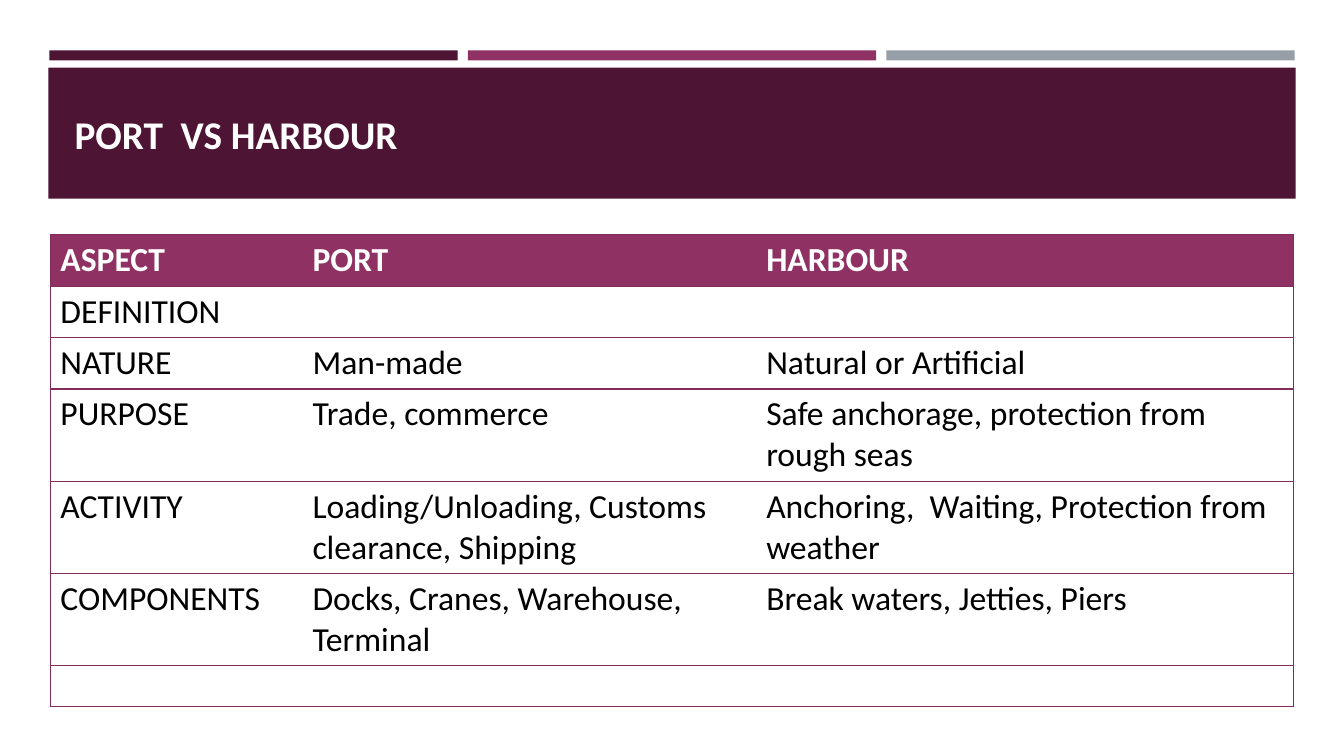
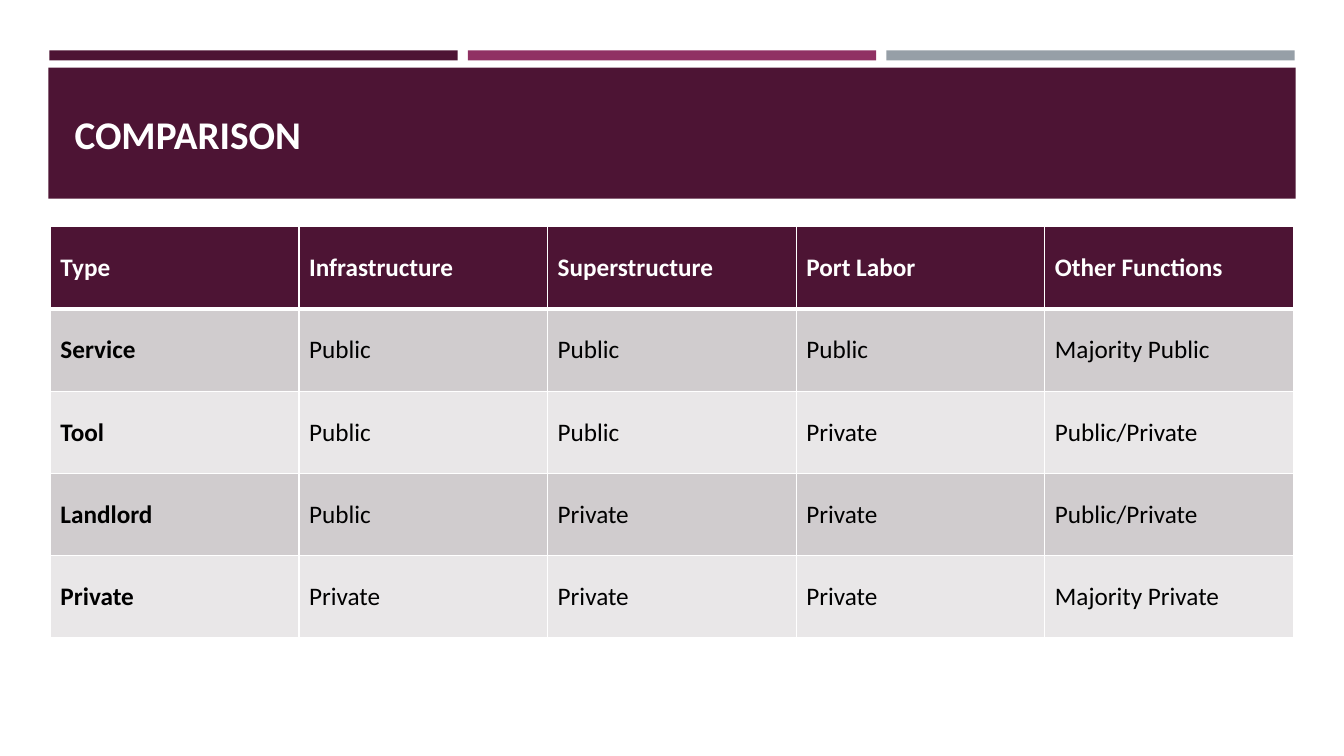
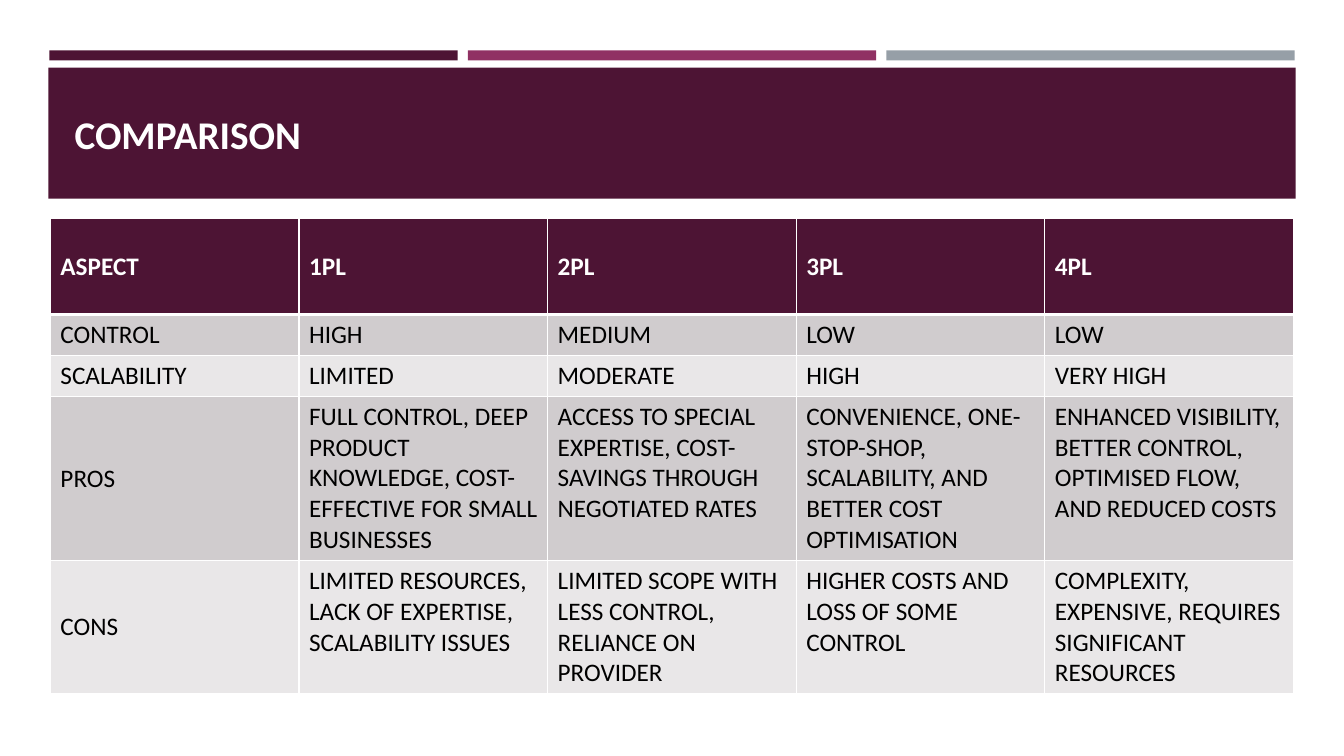
from lxml import etree
from pptx import Presentation
from pptx import util as u
from pptx.dml.color import RGBColor
from pptx.enum import shapes, text
from pptx.oxml.ns import qn


class Theme:
    font = "Calibri"
    title_size, large_size, table_size = 28, 24, 18
    plum, magenta, gray = "4D1434", "903163", "969FA7"
    rule, white, black = "822C59", "FFFFFF", "000000"
    stripes = ("D0CCCE", "E9E7E8")


def style_text(frame, size, color, bold):
    for para in frame.paragraphs:
        para.alignment = text.PP_ALIGN.LEFT
        for span in para.runs:
            span.font.name = Theme.font
            span.font.size = u.Pt(size)
            span.font.bold = bold
            span.font.color.rgb = RGBColor.from_string(color)


def set_borders(cell, color, widths):
    """Widths in points for left, right, top and bottom; 0 hides a side."""
    properties = cell._tc.get_or_add_tcPr()
    for side, width in zip("LRTB", widths):
        line = etree.SubElement(properties, qn(f"a:ln{side}"), w=str(u.Pt(width)))
        if width:
            fill = etree.SubElement(line, qn("a:solidFill"))
            etree.SubElement(fill, qn("a:srgbClr"), val=color)
        else:
            etree.SubElement(line, qn("a:noFill"))


# Grid, in inches
PAGE_WIDTH, PAGE_HEIGHT = 13.33, 7.5
MARGIN = 0.5
TABLE_WIDTH = PAGE_WIDTH - 2 * MARGIN
FIVE_COLUMNS = [TABLE_WIDTH / 5] * 5
STRIP_LEFT, STRIP_WIDTH, STRIP_GAP = 0.49, 4.05, 0.1

# Content: "ruled" tables have lines only, the others have striped rows
pages = [
    dict(
        title="PORT  VS HARBOUR", top=2.33, size=Theme.large_size, ruled=True,
        columns=[2.5, 4.5, 5.33],
        heights=[0.51] * 3 + [0.91] * 3 + [0.41],
        bold_labels=False, middle_labels=False, middle_values=False,
        rows=[
            ["ASPECT", "PORT", "HARBOUR"],
            ["DEFINITION", "", ""],
            ["NATURE", "Man-made", "Natural or Artificial"],
            ["PURPOSE", "Trade, commerce",
             "Safe anchorage, protection from rough seas"],
            ["ACTIVITY", "Loading/Unloading, Customs clearance, Shipping",
             "Anchoring,  Waiting, Protection from weather"],
            ["COMPONENTS", "Docks, Cranes, Warehouse, Terminal",
             "Break waters, Jetties, Piers"],
            ["", "", ""],
        ],
    ),
    dict(
        title="COMPARISON", top=2.25, size=Theme.table_size, ruled=False,
        columns=FIVE_COLUMNS,
        heights=[4.08 / 5] * 5,
        bold_labels=True, middle_labels=True, middle_values=True,
        rows=[
            ["Type", "Infrastructure", "Superstructure", "Port Labor",
             "Other Functions"],
            ["Service", "Public", "Public", "Public", "Majority Public"],
            ["Tool", "Public", "Public", "Private", "Public/Private"],
            ["Landlord", "Public", "Private", "Private", "Public/Private"],
            ["Private", "Private", "Private", "Private", "Majority Private"],
        ],
    ),
    dict(
        title="COMPARISON", top=2.17, size=Theme.table_size, ruled=False,
        columns=FIVE_COLUMNS,
        heights=[0.95, 0.4, 0.4, 1.63, 1.32],
        bold_labels=False, middle_labels=True, middle_values=False,
        rows=[
            ["ASPECT", "1PL", "2PL", "3PL", "4PL"],
            ["CONTROL", "HIGH", "MEDIUM", "LOW", "LOW"],
            ["SCALABILITY", "LIMITED", "MODERATE", "HIGH", "VERY HIGH"],
            ["PROS",
             "FULL CONTROL, DEEP PRODUCT KNOWLEDGE, COST-EFFECTIVE FOR SMALL BUSINESSES",
             "ACCESS TO SPECIAL EXPERTISE, COST-SAVINGS THROUGH NEGOTIATED RATES",
             "CONVENIENCE, ONE-STOP-SHOP, SCALABILITY, AND BETTER COST OPTIMISATION",
             "ENHANCED VISIBILITY, BETTER CONTROL, OPTIMISED FLOW, AND REDUCED COSTS"],
            ["CONS",
             "LIMITED RESOURCES, LACK OF EXPERTISE, SCALABILITY ISSUES",
             "LIMITED SCOPE WITH LESS CONTROL, RELIANCE ON PROVIDER",
             "HIGHER COSTS AND LOSS OF SOME CONTROL",
             "COMPLEXITY, EXPENSIVE, REQUIRES SIGNIFICANT RESOURCES"],
        ],
    ),
]

deck = Presentation()
deck.slide_width, deck.slide_height = u.Inches(PAGE_WIDTH), u.Inches(PAGE_HEIGHT)
layout = deck.slide_layouts.get_by_name("Title Only")

# Shared title position
layout_title = layout.placeholders[0]
layout_title.left, layout_title.top = u.Inches(0.64), u.Inches(0.77)
layout_title.width, layout_title.height = u.Inches(12.06), u.Inches(1.11)
layout_title.text_frame.vertical_anchor = text.MSO_ANCHOR.MIDDLE

slides = [deck.slides.add_slide(layout) for _ in pages]

# Shared bands: drawn once, then moved behind the layout's title
bands = [
    (STRIP_LEFT + index * (STRIP_WIDTH + STRIP_GAP), 0.5, STRIP_WIDTH, 0.1, color)
    for index, color in enumerate((Theme.plum, Theme.magenta, Theme.gray))
]
bands.append((0.48, 0.67, 12.37, 1.3, Theme.plum))
for *frame, color in bands:
    band = slides[0].shapes.add_shape(
        shapes.MSO_SHAPE.RECTANGLE, *[u.Inches(length) for length in frame])
    band.shadow.inherit = False
    band.fill.solid()
    band.fill.fore_color.rgb = RGBColor.from_string(color)
    band.line.fill.background()
    layout_title.element.addprevious(band.element)

for slide, page in zip(slides, pages):
    # Title
    title = slide.shapes.title
    title.text_frame.text = page["title"]
    style_text(title.text_frame, Theme.title_size, Theme.white, True)

    # Table grid
    rows, columns, heights = page["rows"], page["columns"], page["heights"]
    table = slide.shapes.add_table(
        len(rows), len(columns), u.Inches(MARGIN), u.Inches(page["top"]),
        u.Inches(TABLE_WIDTH), u.Inches(sum(heights))).table
    table.horz_banding = False
    for column, width in zip(table.columns, columns):
        column.width = u.Inches(width)
    for row, height in zip(table.rows, heights):
        row.height = u.Inches(height)

    # Table cells
    for row_index, row in enumerate(rows):
        header = row_index == 0
        for column_index, value in enumerate(row):
            label = column_index == 0
            cell = table.cell(row_index, column_index)
            cell.text_frame.text = value
            style_text(cell.text_frame, page["size"],
                       Theme.white if header else Theme.black,
                       header or (label and page["bold_labels"]))
            middle = page["middle_labels"] if header or label else page["middle_values"]
            cell.vertical_anchor = (
                text.MSO_ANCHOR.MIDDLE if middle else text.MSO_ANCHOR.TOP)

            if page["ruled"]:
                last = column_index == len(row) - 1
                set_borders(cell, Theme.rule, (int(label), int(last), 1, 1))
                color = Theme.magenta if header else None
            else:
                set_borders(cell, Theme.white,
                            (1, 1, 3 if row_index == 1 else 1, 3 if header else 1))
                color = Theme.plum if header else Theme.stripes[(row_index - 1) % 2]
            if color:
                cell.fill.solid()
                cell.fill.fore_color.rgb = RGBColor.from_string(color)
            else:
                cell.fill.background()

deck.save("out.pptx")
